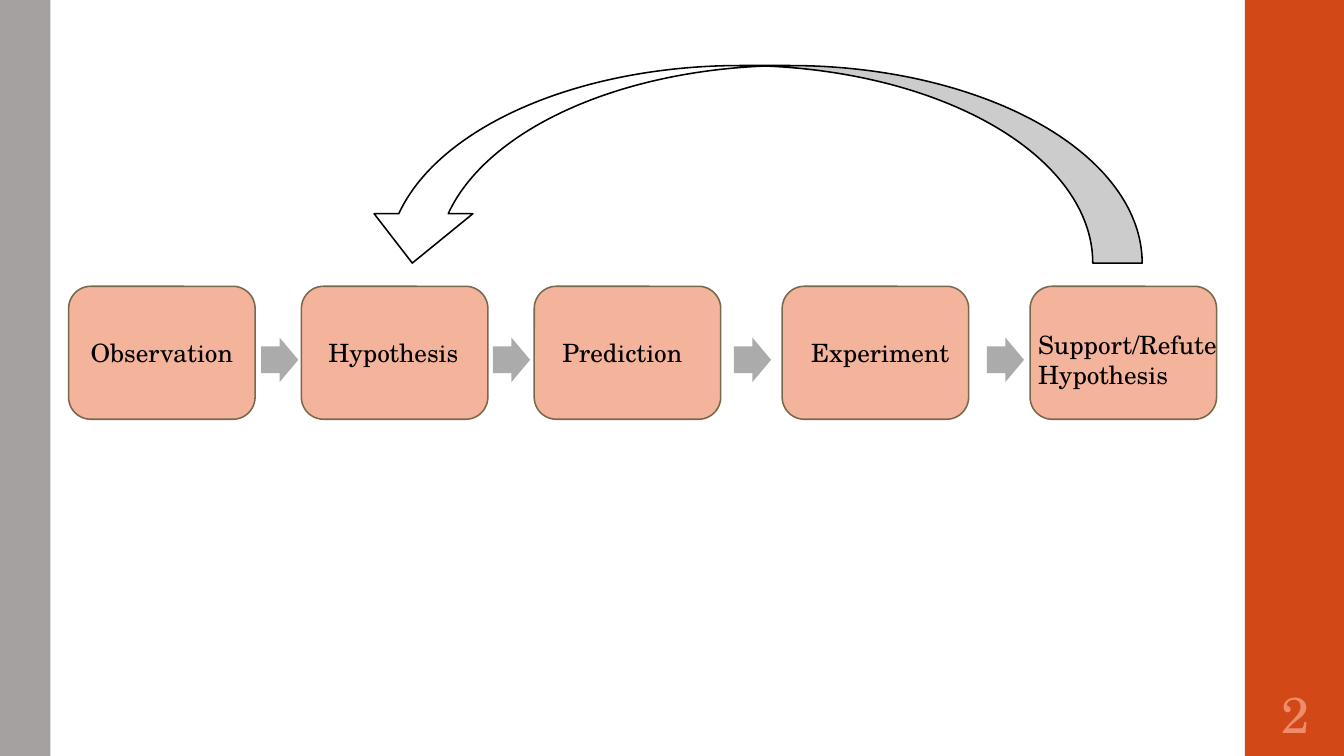
"""Build a slide of the scientific method as a chain of five steps with a feedback arrow."""
import dataclasses
import typing

import pptx
import pptx.dml.color
import pptx.enum.shapes
import pptx.enum.text
import pptx.util

Pt = pptx.util.Pt
SHAPES = pptx.enum.shapes.MSO_SHAPE
ANCHOR = pptx.enum.text.MSO_ANCHOR
ALIGN = pptx.enum.text.PP_ALIGN

COLORS = {
    "side": "A6A1A1", "accent": "D34817", "number": "EF8C6A",
    "step": "F4B39B", "edge": "78694E", "arrow": "ABABAB",
    "text": "000000", "feedback": "FFFFFF", "outline": "000000",
}
FONT = "TeX Gyre Schola"
SLIDE_WIDTH, SLIDE_HEIGHT = 960, 540
ACCENT_LEFT, ACCENT_WIDTH = 889.2, 72
STEP_TOP, STEP_WIDTH, STEP_HEIGHT = 204.5, 133.2, 95
ARROW_TOP, ARROW_WIDTH, ARROW_HEIGHT = 241.2, 26.6, 31.7
LABEL_FRAME = {"word_wrap": True, "vertical_anchor": ANCHOR.TOP}
NUMBER_FRAME = {
    "word_wrap": True, "vertical_anchor": ANCHOR.MIDDLE,
    "margin_left": Pt(3.6), "margin_right": Pt(3.6),
    "margin_top": Pt(3.6), "margin_bottom": Pt(3.6),
}


@dataclasses.dataclass(frozen=True)
class Box:
    """Position and size in points."""
    left: float
    top: float
    width: float
    height: float

    def lengths(self) -> tuple:
        """Return the four lengths for a python-pptx call."""
        return tuple(Pt(value) for value in dataclasses.astuple(self))


@dataclasses.dataclass(frozen=True)
class Step:
    """One step of the method, its label box and the arrow that follows it."""
    label: str
    left: float
    label_box: Box
    arrow_left: typing.Optional[float] = None


STEPS = [
    Step("Observation", 49, Box(57.6, 237.6, 119.5, 29), 186.5),
    Step("Hypothesis", 215.3, Box(227.5, 237.6, 119.5, 29), 352.1),
    Step("Prediction", 381.6, Box(394.6, 237.6, 119.5, 29), 524.2),
    Step("Experiment", 558.7, Box(572.4, 237.6, 119.5, 29), 704.9),
    Step("Support/Refute Hypothesis", 735.8, Box(734.4, 231.8, 146.9, 51)),
]


def rgb(name: str) -> pptx.dml.color.RGBColor:
    """Look up a named color."""
    return pptx.dml.color.RGBColor.from_string(COLORS[name])


def apply(target: typing.Any, formats: dict) -> None:
    """Set each format value on the target."""
    for name, value in formats.items():
        setattr(target, name, value)


def draw_shape(slide: typing.Any, kind: SHAPES, box: Box, fill: str,
               line: typing.Optional[str] = None) -> typing.Any:
    """Draw a flat preset shape, outlined when a line color is named."""
    shape = slide.shapes.add_shape(kind, *box.lengths())
    shape.shadow.inherit = False
    shape.fill.solid()
    shape.fill.fore_color.rgb = rgb(fill)
    if line:
        shape.line.color.rgb = rgb(line)
        shape.line.width = Pt(1.1)
    else:
        shape.line.fill.background()
    return shape


def draw_text(slide: typing.Any, text: str, box: Box, size: float, color: str,
              align: ALIGN, frame_formats: dict) -> None:
    """Draw a one-paragraph text box."""
    frame = slide.shapes.add_textbox(*box.lengths()).text_frame
    apply(frame, frame_formats)
    paragraph = frame.paragraphs[0]
    paragraph.alignment = align
    run = paragraph.add_run()
    run.text = text
    apply(run.font, {"name": FONT, "size": Pt(size)})
    run.font.color.rgb = rgb(color)


def main() -> None:
    """Build and save the slide."""
    presentation = pptx.Presentation()
    apply(presentation, {"slide_width": Pt(SLIDE_WIDTH), "slide_height": Pt(SLIDE_HEIGHT)})
    slide = presentation.slides.add_slide(presentation.slide_layouts[6])

    accent_band = Box(ACCENT_LEFT, 0, ACCENT_WIDTH, SLIDE_HEIGHT)
    draw_shape(slide, SHAPES.RECTANGLE, accent_band, "accent")
    draw_shape(slide, SHAPES.RECTANGLE, Box(0, 0, 36, SLIDE_HEIGHT), "side")
    draw_text(slide, "2", Box(ACCENT_LEFT, 486, ACCENT_WIDTH, 46.8), 36, "number",
              ALIGN.CENTER, NUMBER_FRAME)

    for step in STEPS:
        step_box = Box(step.left, STEP_TOP, STEP_WIDTH, STEP_HEIGHT)
        draw_shape(slide, SHAPES.ROUNDED_RECTANGLE, step_box, "step", "edge")
        if step.arrow_left is not None:
            arrow_box = Box(step.arrow_left, ARROW_TOP, ARROW_WIDTH, ARROW_HEIGHT)
            next_arrow = draw_shape(slide, SHAPES.RIGHT_ARROW, arrow_box, "arrow")
            next_arrow.adjustments[0] = 0.6
        draw_text(slide, step.label, step.label_box, 18, "text", ALIGN.LEFT, LABEL_FRAME)

    feedback = draw_shape(slide, SHAPES.CURVED_UP_ARROW, Box(259.2, 46.8, 556.6, 141.1),
                          "feedback", "outline")
    feedback.rotation = 180
    presentation.save("out.pptx")


main()
